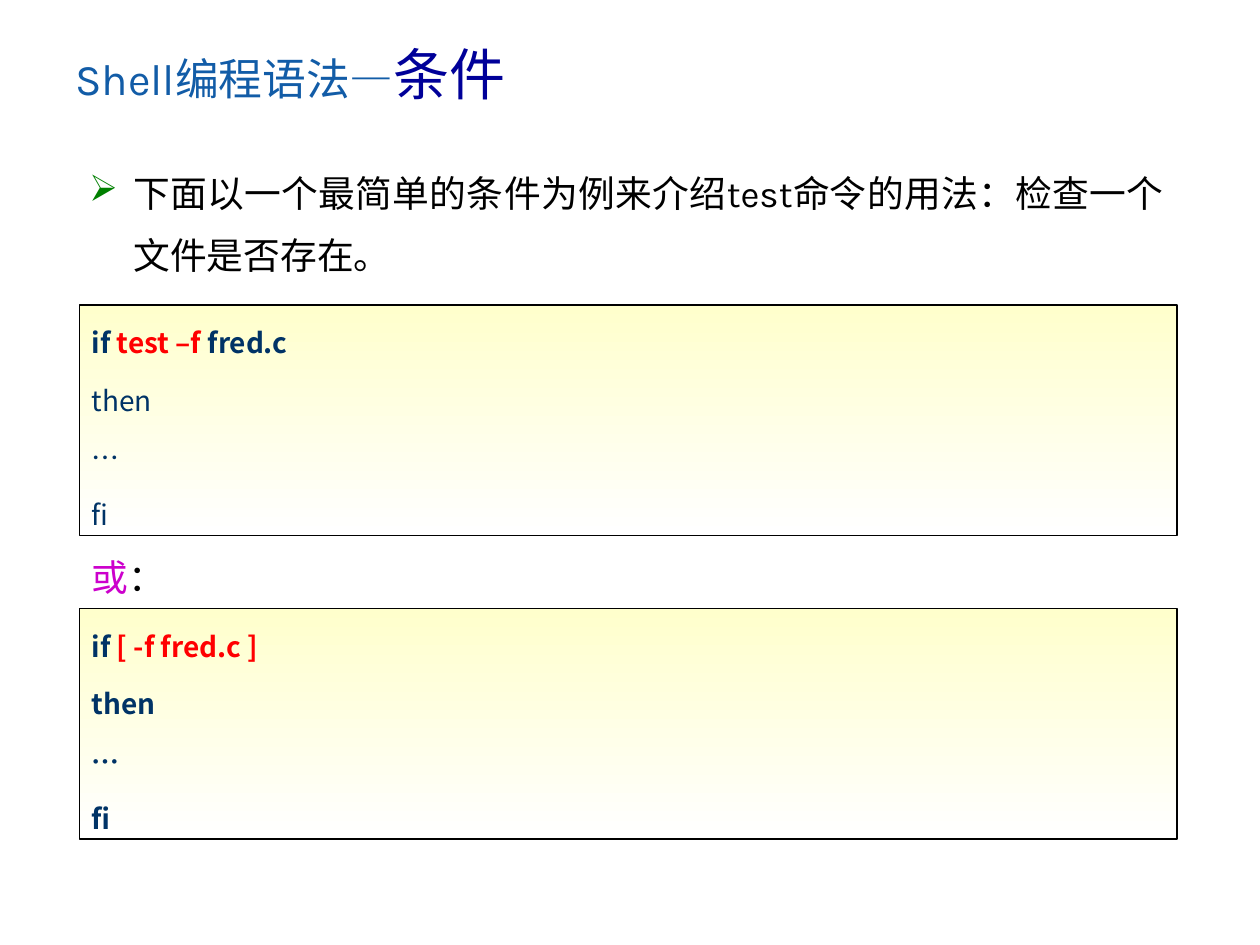
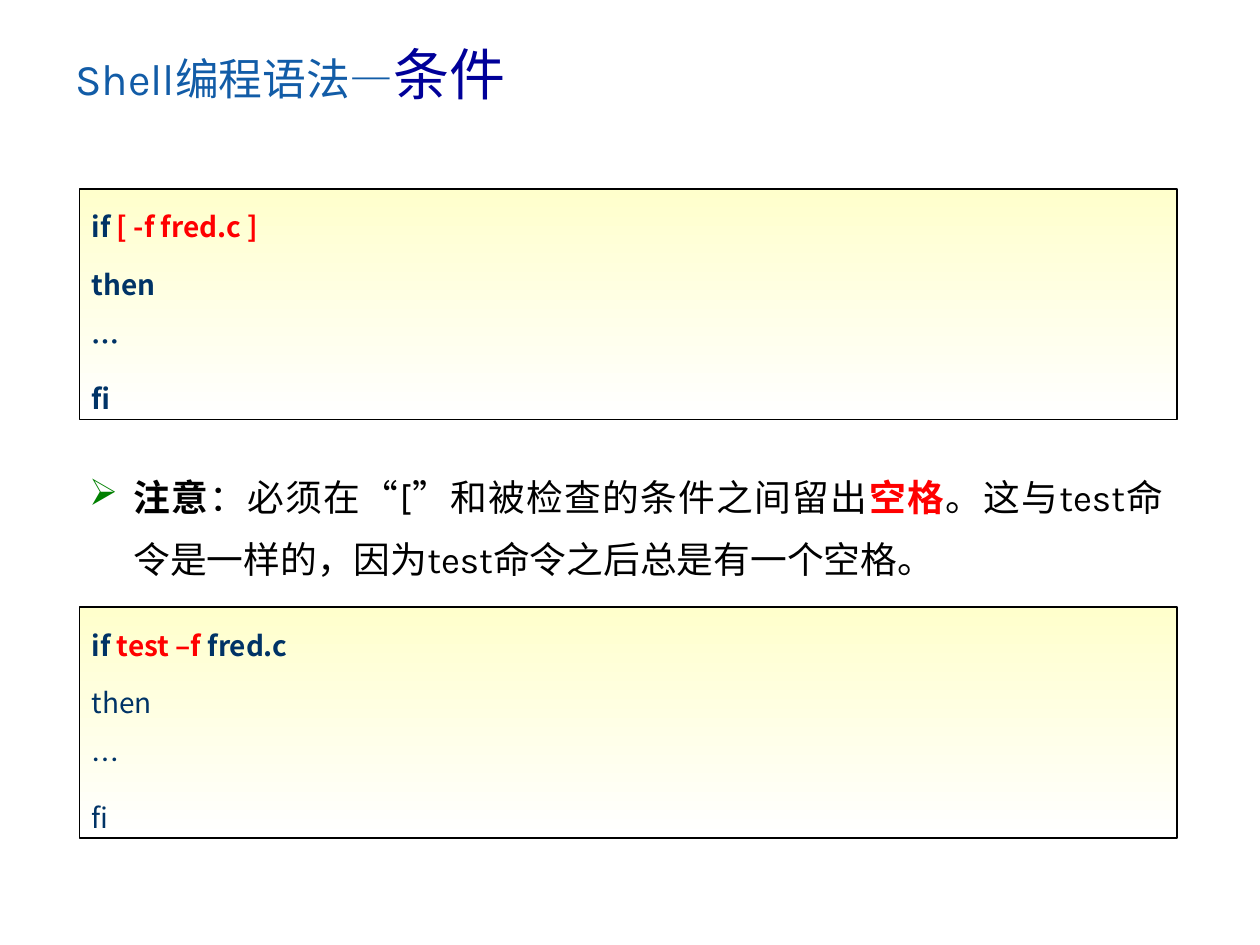
import pptx
import pptx.dml.color
import pptx.enum.shapes
import pptx.enum.text
import pptx.oxml.ns
import pptx.util
import lxml.etree

Inches = pptx.util.Inches
Pt = pptx.util.Pt
Align = pptx.enum.text.PP_ALIGN
Anchor = pptx.enum.text.MSO_ANCHOR
qn = pptx.oxml.ns.qn

BLACK, NAVY, RED = "000000", "003366", "FF0000"
TITLE = [("Shell编程语法—", "125CA7", False, 25), ("条件", "000099", False, 32)]
TEST_CODE = [
    [("if ", NAVY, True), ("test –f", RED, True), (" fred.c", NAVY, True)],
    *[[(word, NAVY, False)] for word in ("then", "…", "fi")],
]
BRACKET_CODE = [
    [("if ", NAVY, True), ("[ -f fred.c ]", RED, True)],
    *[[(word, NAVY, True)] for word in ("then", "…", "fi")],
]


def color(value):
    return pptx.dml.color.RGBColor.from_string(value)


class Lesson:
    """Hold the deck, its style and the current page."""

    text_font = "Karla"
    code_font = "Noto Sans CJK SC"

    def __init__(self):
        self.deck = pptx.Presentation()
        self.deck.slide_width = Inches(10)
        self.deck.slide_height = Inches(7.5)

    def add_page(self):
        self.page = self.deck.slides.add_slide(self.deck.slide_layouts[6])
        self.text((0.5, 0.3, 9, 0.62), TITLE, 0.9, anchor=Anchor.MIDDLE)

    def add_spans(self, para, spans, font, size, line, before):
        para.line_spacing = line
        para.space_before = Pt(before)
        para.font.name = font
        para.font.size = Pt(size)
        defaults = para._p.pPr.find(qn("a:defRPr"))
        lxml.etree.SubElement(defaults, qn("a:ea")).set("typeface", self.code_font)
        for words, shade, bold, *own_size in spans:
            span = para.add_run()
            span.text = words
            span.font.color.rgb = color(shade)
            span.font.bold = bold
            if own_size:
                span.font.size = Pt(own_size[0])

    def text(self, place, spans, line, before=0, align=Align.LEFT, anchor=Anchor.TOP, bullet=False):
        frame = self.page.shapes.add_textbox(*map(Inches, place)).text_frame
        frame.word_wrap = True
        frame.vertical_anchor = anchor
        para = frame.paragraphs[0]
        para.alignment = align
        para.line_spacing = line
        para.space_before = Pt(before)
        if bullet:
            self.bullet(para)
        self.add_spans(para, spans, self.text_font, 21, line, before)

    def bullet(self, para):
        settings = para._p.get_or_add_pPr()
        settings.set("marL", str(Inches(0.46)))
        settings.set("indent", str(Inches(-0.35)))
        shade = lxml.etree.SubElement(settings, qn("a:buClr"))
        lxml.etree.SubElement(shade, qn("a:srgbClr")).set("val", "008000")
        lxml.etree.SubElement(settings, qn("a:buChar")).set("char", "➢")

    def point(self, top, spans):
        self.text((0.5, top, 8.83, 1.24), spans, 1.4, 5.2, Align.JUSTIFY, bullet=True)

    def code(self, top, lines):
        box = self.page.shapes.add_shape(
            pptx.enum.shapes.MSO_SHAPE.RECTANGLE, *map(Inches, (0.63, top, 8.71, 1.83)))
        box.shadow.inherit = False
        box.fill.gradient()
        box.fill.gradient_angle = 270
        for stop, shade in zip(box.fill.gradient_stops, ("FFFFCC", "FFFFFF")):
            stop.color.rgb = color(shade)
        box.line.color.rgb = color(BLACK)
        box.line.width = Pt(1)
        frame = box.text_frame
        frame.word_wrap = True
        frame.vertical_anchor = Anchor.MIDDLE
        for index, spans in enumerate(lines):
            para = frame.add_paragraph() if index else frame.paragraphs[0]
            para.alignment = Align.LEFT
            self.add_spans(para, spans, self.code_font, 16, 1.5, 4)


def main():
    lesson = Lesson()

    lesson.add_page()
    lesson.point(1.17, [("下面以一个最简单的条件为例来介绍test命令的用法：检查一个文件是否存在。", BLACK, False)])
    lesson.code(2.42, TEST_CODE)
    lesson.text((0.63, 4.25, 8.83, 0.58), [("或", "CC00CC", False), ("：", BLACK, False)],
                1.3, 5.2, Align.JUSTIFY)
    lesson.code(4.83, BRACKET_CODE)

    lesson.add_page()
    lesson.code(1.5, BRACKET_CODE)
    lesson.point(3.58, [
        ("注意", BLACK, True),
        ("：必须在“[”和被检查的条件之间留出", BLACK, False),
        ("空格", RED, True),
        ("。这与test命令是一样的，因为test命令之后总是有一个空格。", BLACK, False),
    ])
    lesson.code(4.82, TEST_CODE)

    lesson.deck.save("out.pptx")


if __name__ == "__main__":
    main()
